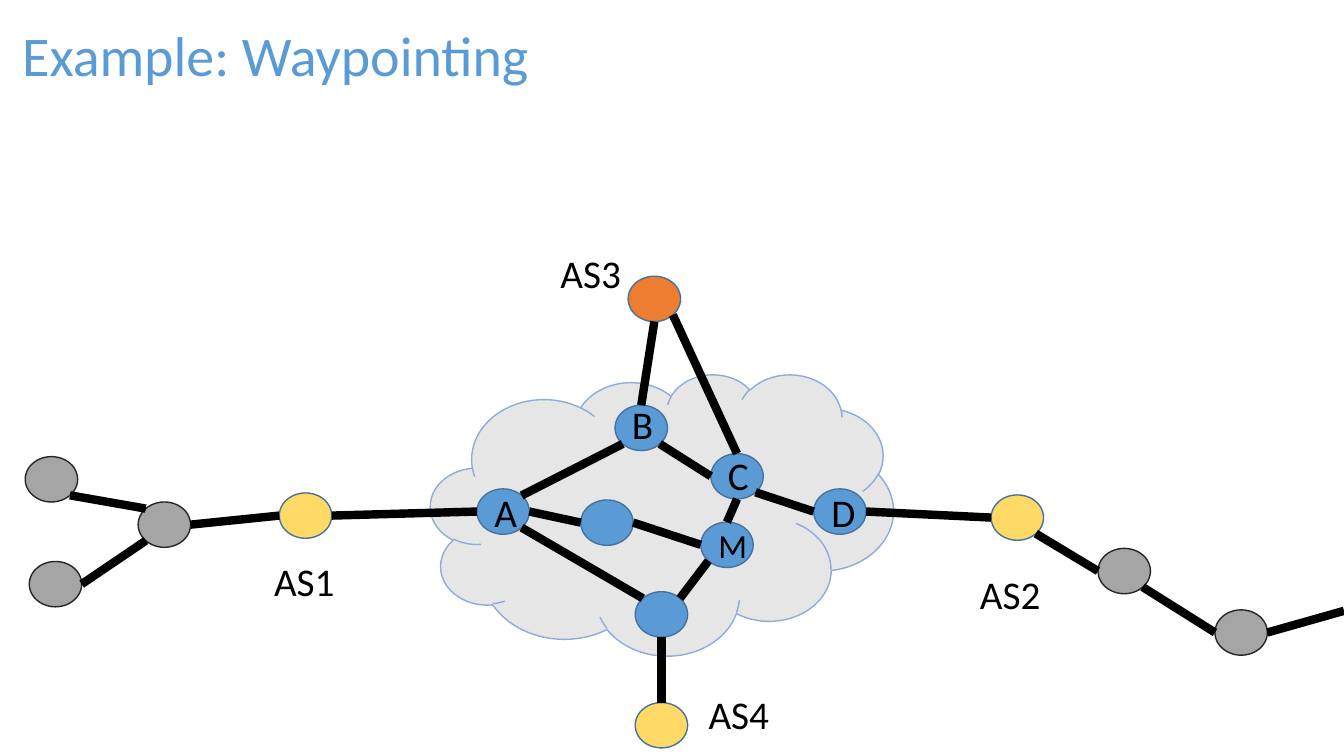
"""Builds the waypointing example: a cloud network linked to four neighbouring AS nodes."""
import math

from lxml import etree
from pptx import Presentation
from pptx import util as u
from pptx.dml.color import RGBColor
from pptx.enum import shapes, text

BLUE, YELLOW, ORANGE, GREY = "5B9BD5", "FFD966", "ED7D31", "A5A5A5"
BLACK, NODE_EDGE, GREY_EDGE = "000000", "43739E", "262626"
NODE_W, NODE_H = 0.52, 0.45
ANGLES = {"right": 0, "lower right": 45, "bottom": 90, "lower left": 135,
          "left": 180, "upper left": 225, "top": 270, "upper right": 315}

NODES = {
    "A": (4.73, 4.85, BLUE), "inner": (5.76, 4.96, BLUE), "B": (6.1, 4.02, BLUE),
    "south": (6.3, 5.87, BLUE), "D": (8.07, 4.85, BLUE), "C": (7.05, 4.5, BLUE),
    "M": (6.95, 5.18, BLUE), "AS1": (2.77, 4.89, YELLOW), "AS2": (9.83, 4.91, YELLOW),
    "AS3": (6.23, 2.74, ORANGE), "west 1": (0.25, 4.53, GREY),
    "west 2": (0.29, 5.57, GREY), "west 3": (1.37, 4.98, GREY),
    "east 1": (10.89, 5.44, GREY), "east 2": (12.05, 6.05, GREY),
    "AS4": (6.3, 6.97, YELLOW),
}
NODE_LETTERS = {"A": 28, "D": 28, "M": 24}

LINKS = [
    ("B", "lower right", "C", "left"), ("C", "lower right", "D", "left"),
    ("C", "bottom", "M", "top"), ("M", "lower left", "south", "upper right"),
    ("M", "left", "inner", "right"), ("B", "lower left", "A", "upper right"),
    ("A", "right", "inner", "left"), ("D", "right", "AS2", "left"),
    ("A", "left", "AS1", "right"), ("AS1", "left", "west 3", "right"),
    ("west 3", "upper left", "west 1", "lower right"),
    ("west 3", "lower left", "west 2", "right"),
    ("east 1", "left", "AS2", "lower right"),
    ("east 2", "left", "east 1", "lower right"),
    ("south", "bottom", "AS4", "top"), ("AS3", "bottom", "B", "top"),
    ("AS3", "lower right", "C", "top"), ("south", "upper left", "A", "lower right"),
]

LABELS = [
    ("AS1", 2.62, 5.57, 0.96, 0.51, 0.8), ("AS2", 9.62, 5.7, 0.95, 0.48, 0.8),
    ("B", 6.17, 3.98, 0.64, 0.66, 0.9), ("C", 7.12, 4.48, 0.47, 0.66, 0.9),
    ("AS3", 5.46, 2.48, 1.08, 0.66, 0.9), ("AS4", 6.93, 6.85, 0.87, 0.57, 0.9),
]


def rgb(value):
    return RGBColor.from_string(value)


def write(tf, content, size=28, color=BLACK, align=text.PP_ALIGN.LEFT, spacing=1.0):
    tf.word_wrap = True
    p = tf.paragraphs[0]
    p.alignment, p.line_spacing = align, spacing
    p.space_before = u.Pt(0)
    r = p.add_run()
    r.text = content
    r.font.name, r.font.size = "Calibri", u.Pt(size)
    r.font.color.rgb = rgb(color)


def site(node, side):
    left, top, _ = NODES[node]
    angle = math.radians(ANGLES[side])
    return (left + NODE_W / 2 * (1 + math.cos(angle)),
            top + NODE_H / 2 * (1 + math.sin(angle)))


class Diagram:
    def __init__(self, prs):
        self.s = prs.slides.add_slide(prs.slide_layouts[5])

    def title(self, content, *box):
        sp = self.s.shapes.title
        sp.left, sp.top, sp.width, sp.height = map(u.Inches, box)
        sp.text_frame.vertical_anchor = text.MSO_ANCHOR.BOTTOM
        write(sp.text_frame, content, size=40, color=BLUE, spacing=0.9)

    def shape(self, kind, box, fill, edge):
        sp = self.s.shapes.add_shape(kind, *map(u.Inches, box))
        sp.shadow.inherit = False
        sp.fill.solid()
        sp.fill.fore_color.rgb = rgb(fill)
        sp.line.color.rgb = rgb(edge)
        sp.line.width = u.Pt(1)
        return sp

    def node(self, name):
        left, top, fill = NODES[name]
        sp = self.shape(shapes.MSO_SHAPE.OVAL, (left, top, NODE_W, NODE_H), fill,
                        GREY_EDGE if fill == GREY else NODE_EDGE)
        if name in NODE_LETTERS:
            write(sp.text_frame, name, size=NODE_LETTERS[name], align=text.PP_ALIGN.CENTER)

    def link(self, start, end):
        line = self.s.shapes.add_connector(shapes.MSO_CONNECTOR.STRAIGHT,
                                           *map(u.Inches, (*start, *end)))
        line.line.color.rgb = rgb(BLACK)
        line.line.width = u.Pt(6)
        etree.SubElement(line.line._get_or_add_ln().getparent(),
                         "{http://schemas.openxmlformats.org/drawingml/2006/main}effectLst")

    def label(self, content, left, top, width, height, spacing):
        sp = self.s.shapes.add_textbox(*map(u.Inches, (left, top, width, height)))
        write(sp.text_frame, content, spacing=spacing)


def main():
    prs = Presentation()
    prs.slide_width, prs.slide_height = u.Inches(13.33), u.Inches(7.5)
    diagram = Diagram(prs)
    diagram.title("Example: Waypointing", 0.12, 0, 5.29, 0.93)
    diagram.shape(shapes.MSO_SHAPE.CLOUD, (4.27, 3.71, 4.59, 2.79), "E7E6E6", "8FAADC")
    for name in NODES:
        diagram.node(name)
    for start, start_side, end, end_side in LINKS:
        diagram.link(site(start, start_side), site(end, end_side))
    diagram.link((13.33, 6.06), site("east 2", "right"))
    for label in LABELS:
        diagram.label(*label)
    prs.save("out.pptx")


if __name__ == "__main__":
    main()
